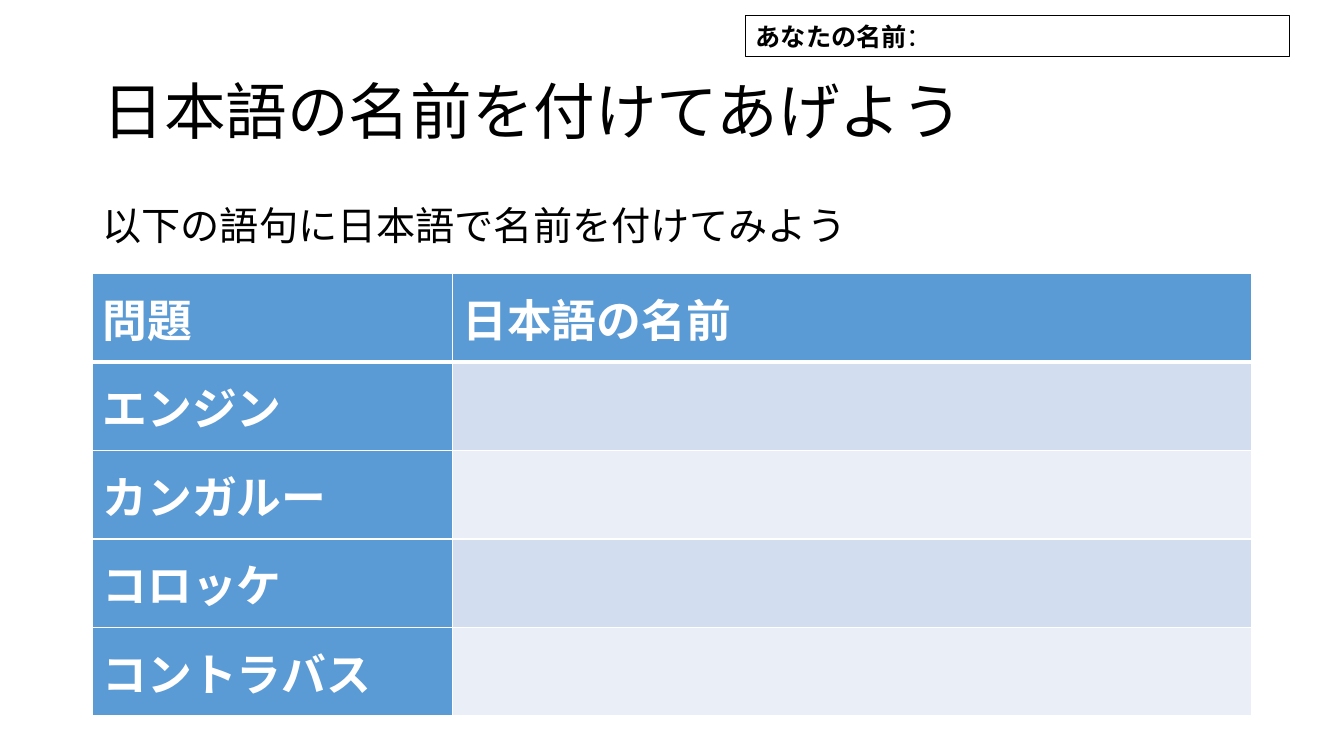
import pptx
import pptx.util
import pptx.dml.color
import pptx.enum.shapes
import pptx.enum.text
import pptx.oxml
import pptx.oxml.ns

Pt = pptx.util.Pt
MIDDLE = pptx.enum.text.MSO_ANCHOR.MIDDLE
FONT = "Noto Sans CJK JP"
BLACK, WHITE, HEADING_BLUE = "000000", "FFFFFF", "5B9BD5"
ANSWER_BANDS = ["D2DEEF", "EAEFF7"]
WORDS = ["エンジン", "カンガルー", "コロッケ", "コントラバス"]


def color(hex_string):
    return pptx.dml.color.RGBColor.from_string(hex_string)


def add_run(paragraph, wording, size, hex_string, bold=False):
    run = paragraph.add_run()
    run.text = wording
    run.font.size = Pt(size)
    run.font.bold = bold
    run.font.name = FONT
    run.font.color.rgb = color(hex_string)
    east_asian = pptx.oxml.parse_xml(
        f'<a:ea {pptx.oxml.ns.nsdecls("a")} typeface="{FONT}"/>')
    run.font._element.find(pptx.oxml.ns.qn("a:latin")).addnext(east_asian)


def place(part, box):
    part.left, part.top, part.width, part.height = map(Pt, box)


def prepare_text(part):
    frame = part.text_frame
    frame.word_wrap = True
    frame.auto_size = pptx.enum.text.MSO_AUTO_SIZE.NONE
    frame.vertical_anchor = MIDDLE
    paragraph = frame.paragraphs[0]
    paragraph.alignment = pptx.enum.text.PP_ALIGN.LEFT
    return paragraph


def fill_title(slide, box):
    title = slide.shapes.title
    place(title, box)
    add_run(prepare_text(title), "日本語の名前を付けてあげよう", 44, BLACK)


def fill_instruction(slide, box):
    instruction = slide.placeholders[1]
    place(instruction, box)
    paragraph = prepare_text(instruction)
    paragraph.line_spacing = 0.9
    paragraph.space_before = Pt(10)
    properties = paragraph._p.get_or_add_pPr()
    properties.set("marL", "0")
    properties.set("indent", "0")
    properties.append(pptx.oxml.parse_xml(
        f'<a:buNone {pptx.oxml.ns.nsdecls("a")}/>'))
    add_run(paragraph, "以下の語句に日本語で名前を付けてみよう", 28, BLACK)


def add_name_field(slide, box):
    name_field = slide.shapes.add_shape(
        pptx.enum.shapes.MSO_SHAPE.RECTANGLE, *map(Pt, box))
    name_field.shadow.inherit = False
    name_field.fill.background()
    name_field.line.color.rgb = color(BLACK)
    name_field.line.width = Pt(0.75)
    paragraph = prepare_text(name_field)
    add_run(paragraph, "あなたの名前", 18, BLACK, bold=True)
    add_run(paragraph, "：", 18, BLACK)


def set_borders(cell, widths):
    properties = cell._tc.get_or_add_tcPr()
    for index, (side, width) in enumerate(widths.items()):
        properties.insert(index, pptx.oxml.parse_xml(
            f'<a:ln{side} {pptx.oxml.ns.nsdecls("a")} w="{Pt(width)}">'
            f'<a:solidFill><a:srgbClr val="{WHITE}"/></a:solidFill></a:ln{side}>'))


def add_word_table(slide, box):
    rows = [("問題", "日本語の名前")] + [(word, "") for word in WORDS]
    left, top, width, height = box
    word_table = slide.shapes.add_table(len(rows), 2, *map(Pt, box)).table
    word_width = 257
    word_table.columns[0].width = Pt(word_width)
    word_table.columns[1].width = Pt(width - word_width)
    for row_index, row in enumerate(rows):
        word_table.rows[row_index].height = Pt(height / len(rows))
        for column_index, wording in enumerate(row):
            cell = word_table.cell(row_index, column_index)
            cell.vertical_anchor = MIDDLE
            is_heading = row_index == 0 or column_index == 0
            band = ANSWER_BANDS[(row_index - 1) % 2]
            cell.fill.solid()
            cell.fill.fore_color.rgb = color(HEADING_BLUE if is_heading else band)
            set_borders(cell, {"L": 1, "R": 1,
                               "T": 3 if row_index == 1 else 1,
                               "B": 3 if row_index == 0 else 1})
            if wording:
                add_run(cell.text_frame.paragraphs[0], wording, 32, WHITE, bold=True)


def build_naming_slide(presentation):
    slide = presentation.slides.add_slide(presentation.slide_layouts[1])
    margin = 66
    add_word_table(slide, (margin, 195.4, 828, 316))
    fill_instruction(slide, (margin, 144, 626.4, 38))
    add_name_field(slide, (532.8, 11.2, 388.4, 29.2))
    fill_title(slide, (margin, 48.2, 653.8, 60.5))


def main():
    presentation = pptx.Presentation()
    presentation.slide_width = Pt(960)
    presentation.slide_height = Pt(540)
    build_naming_slide(presentation)
    presentation.save("out.pptx")


if __name__ == "__main__":
    main()
